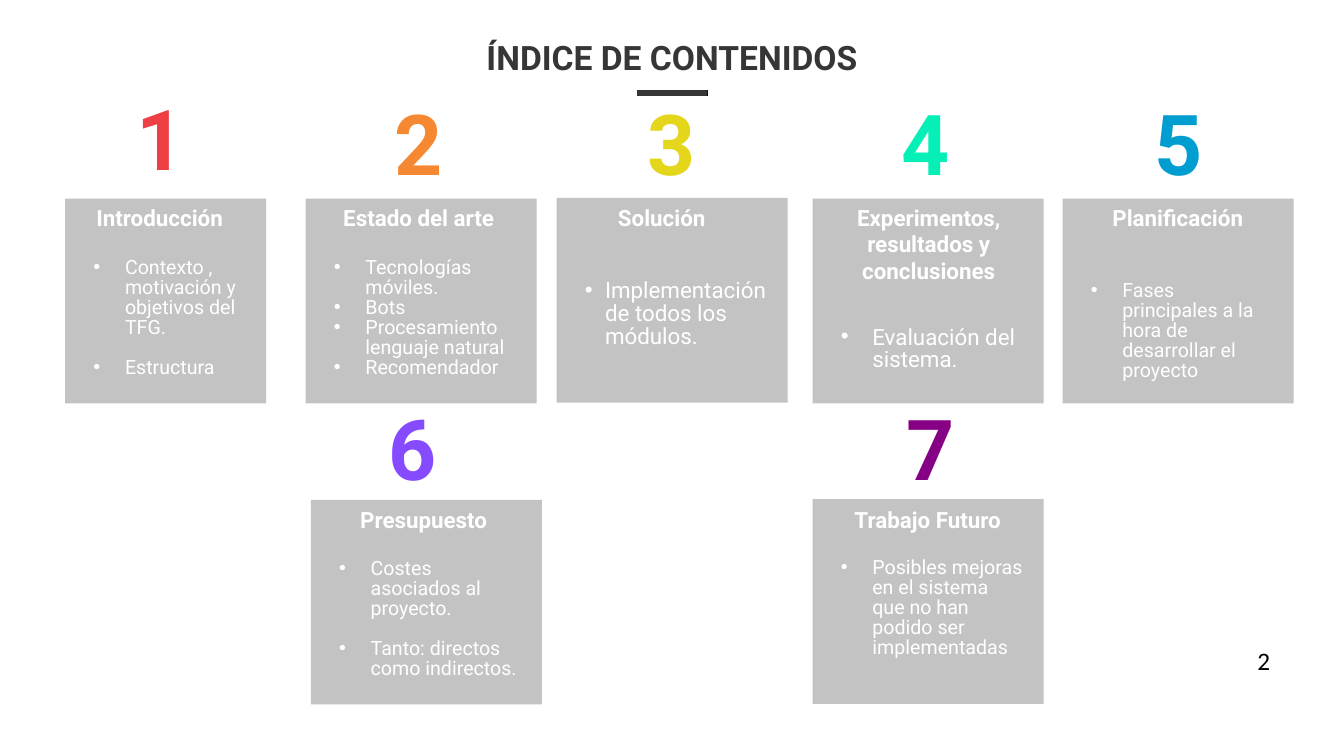
from dataclasses import dataclass

from lxml import etree
from pptx import Presentation
from pptx.dml.color import RGBColor
from pptx.enum.shapes import MSO_CONNECTOR as Connector, MSO_SHAPE as Shape
from pptx.enum.text import MSO_ANCHOR as Anchor, MSO_AUTO_SIZE as AutoSize, PP_ALIGN as Align
from pptx.oxml.ns import qn
from pptx.util import Pt

WHITE = RGBColor(0xFF, 0xFF, 0xFF)
BLACK = RGBColor(0x00, 0x00, 0x00)
GRAY = RGBColor(0xC3, 0xC3, 0xC3)
DARK = RGBColor(0x36, 0x36, 0x36)
DEEP_PURPLE = RGBColor(0x22, 0x00, 0x21)
RED = RGBColor(0xEE, 0x3F, 0x44)
ORANGE = RGBColor(0xF5, 0x88, 0x30)
YELLOW = RGBColor(0xE4, 0xD6, 0x1A)
MINT = RGBColor(0x06, 0xEF, 0xB7)
BLUE = RGBColor(0x00, 0x9D, 0xD1)
VIOLET = RGBColor(0x87, 0x4B, 0xFF)
PURPLE = RGBColor(0x86, 0x00, 0x86)


@dataclass
class Section:
    """One numbered card; lengths in points."""
    heading: str
    items: list
    color: RGBColor
    left: float
    top: float
    number_left: float
    number_top: float
    heading_center: float
    width: float = 165
    heading_width: float = 149
    size: float = 14
    indent: float = 22.5
    list_offset: float = 0
    item_gap: float = 0
    align: Align = Align.LEFT


SECTIONS = [
    Section("Introducción", ["Contexto , motivación y objetivos del TFG.", "Estructura"],
            RED, 46.6, 142, 64.8, 66.2, 114.1, width=143.5, item_gap=14.3),
    Section("Estado del arte",
            ["Tecnologías móviles.", "Bots", "Procesamiento lenguaje natural", "Recomendador"],
            ORANGE, 218.3, 142, 249.1, 69.8, 299.1, align=Align.JUSTIFY),
    Section("Solución", ["Implementación de todos los módulos."],
            YELLOW, 397.6, 141.4, 429.8, 69.8, 472.7, size=16, indent=14.4, list_offset=16.3),
    Section("Experimentos, resultados y conclusiones", ["Evaluación del sistema."],
            MINT, 580.4, 142, 611.3, 69.8, 663.4, heading_width=165, size=16, list_offset=49),
    Section("Planificación", ["Fases principales a la hora de desarrollar el proyecto"],
            BLUE, 759, 142, 792, 69.8, 841.3, list_offset=16.3),
    Section("Presupuesto", ["Costes asociados al proyecto.", "Tanto: directos como indirectos."],
            VIOLET, 222, 357, 244.8, 288, 302.7, item_gap=14.3),
    Section("Trabajo Futuro",
            ["Posibles mejoras en el sistema que no han podido ser implementadas"],
            PURPLE, 580.4, 356.6, 614.9, 288, 662.7),
]


class SlideBuilder:
    def __init__(self, slide, font_name="Roboto"):
        self.slide = slide
        self.font_name = font_name

    def style(self, paragraph, size, color, bold=False, align=Align.CENTER, spacing=1.0, name=None):
        paragraph.alignment = align
        paragraph.line_spacing = spacing
        paragraph.space_before = Pt(0)
        font = paragraph.font
        font.name = name or self.font_name
        font.size, font.bold = Pt(size), bold
        font.color.rgb = color

    def title(self, text, left, top, width, height):
        shape = self.slide.shapes.title
        shape.left, shape.top, shape.width, shape.height = map(Pt, (left, top, width, height))
        frame = shape.text_frame
        frame.text = text
        frame.auto_size = AutoSize.NONE
        frame.vertical_anchor = Anchor.TOP
        self.style(frame.paragraphs[0], 24, DARK, bold=True, spacing=0.9)

    def text(self, text, left, top, width, height, size, color, **style):
        shape = self.slide.shapes.add_textbox(*map(Pt, (left, top, width, height)))
        frame = shape.text_frame
        frame.word_wrap = True
        frame.text = text
        self.style(frame.paragraphs[0], size, color, **style)

    def rule(self, left, right, y, color):
        line = self.slide.shapes.add_connector(
            Connector.STRAIGHT, Pt(left), Pt(y), Pt(right), Pt(y))
        line.line.color.rgb = color
        line.line.width = Pt(4.5)
        etree.SubElement(line._element.spPr, qn("a:effectLst"))

    def bullet(self, paragraph, indent):
        properties = paragraph._p.get_or_add_pPr()
        properties.set("marL", str(Pt(indent)))
        properties.set("indent", str(-Pt(indent)))
        etree.SubElement(properties, qn("a:buFont"), typeface="Arial")
        etree.SubElement(properties, qn("a:buChar"), char="•")

    def card(self, section):
        shape = self.slide.shapes.add_shape(
            Shape.RECTANGLE, *map(Pt, (section.left, section.top, section.width, 146.2)))
        shape.shadow.inherit = False
        shape.fill.solid()
        shape.fill.fore_color.rgb = GRAY
        shape.line.fill.background()
        frame = shape.text_frame
        frame.word_wrap = True
        frame.vertical_anchor = Anchor.TOP
        frame.margin_left, frame.margin_right = Pt(20.2), Pt(14.4)
        frame.margin_top, frame.margin_bottom = Pt(42.5 + section.list_offset), Pt(5.8)
        frame.text = "\n".join(section.items)
        for index, paragraph in enumerate(frame.paragraphs):
            self.bullet(paragraph, section.indent)
            self.style(paragraph, section.size, WHITE, align=section.align, spacing=0.85)
            if index:
                paragraph.space_before = Pt(section.item_gap)

    def section(self, number, section):
        self.card(section)
        self.text(str(number), section.number_left, section.number_top, 99.4, 80.6,
                  60, section.color, bold=True, spacing=0.9)
        self.text(section.heading, section.heading_center - section.heading_width / 2,
                  142 if section.top < 200 else 358, section.heading_width, 26.6,
                  16, WHITE, bold=True)


def main():
    presentation = Presentation()
    presentation.slide_width, presentation.slide_height = Pt(960), Pt(540)
    title_only = presentation.slide_layouts[5]
    builder = SlideBuilder(presentation.slides.add_slide(title_only))
    builder.title("ÍNDICE DE CONTENIDOS", 31, 26, 898, 34)
    builder.rule(455.8, 505.4, 66.2, DEEP_PURPLE)
    builder.rule(455, 504.7, 66.2, DARK)
    for number, section in enumerate(SECTIONS, start=1):
        builder.section(number, section)
    builder.text("2", 690.5, 457.2, 223.9, 28.8, 18, BLACK, align=Align.RIGHT, name="Calibri")
    presentation.save("out.pptx")


if __name__ == "__main__":
    main()
